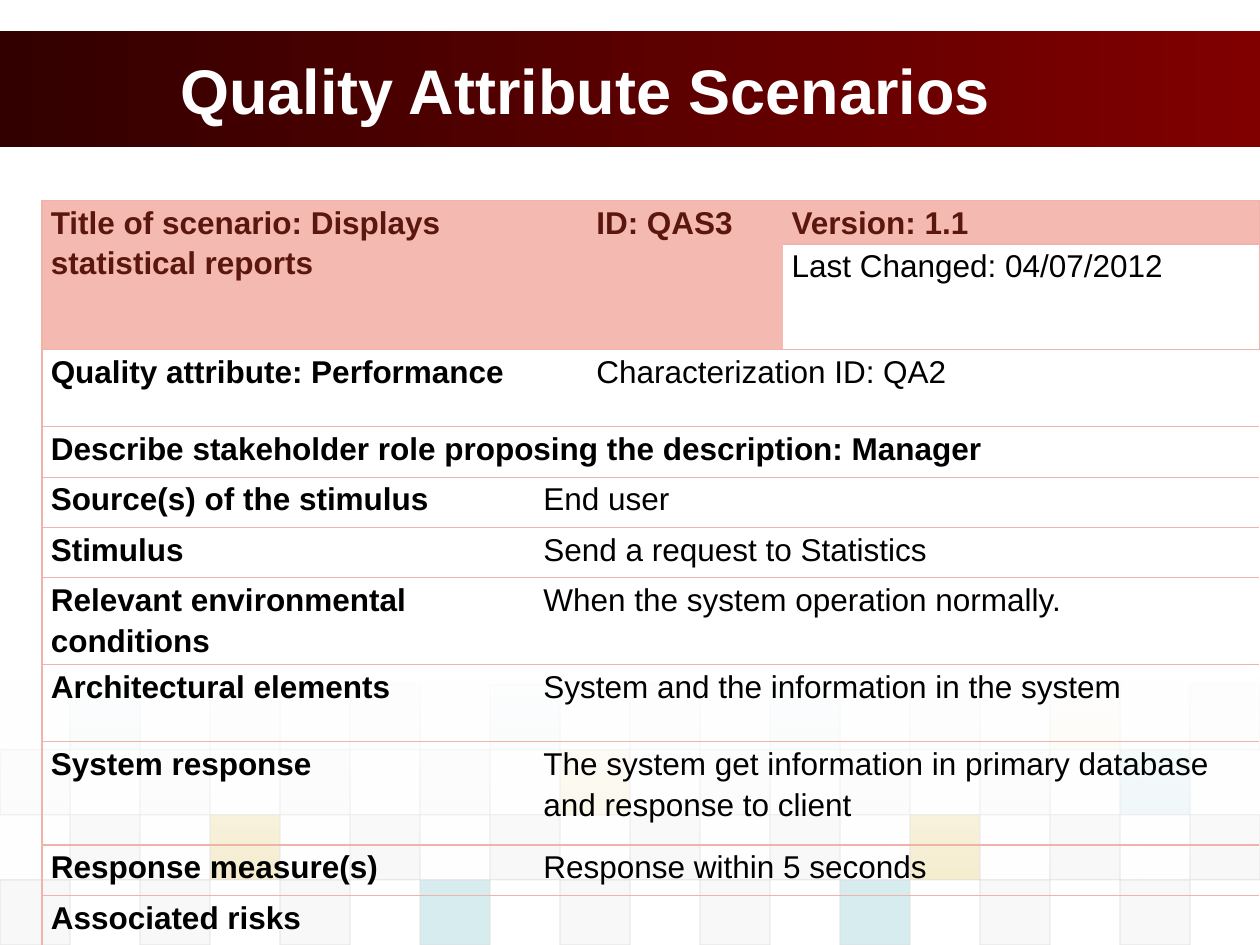
from dataclasses import dataclass

from lxml import etree
from pptx import Presentation
from pptx.dml.color import RGBColor
from pptx.enum.shapes import MSO_SHAPE
from pptx.enum.text import MSO_ANCHOR, PP_ALIGN
from pptx.oxml.ns import qn
from pptx.util import Emu, Inches, Pt

RECTANGLE = MSO_SHAPE.RECTANGLE
MIDDLE = MSO_ANCHOR.MIDDLE
TOP = MSO_ANCHOR.TOP
LEFT = PP_ALIGN.LEFT


@dataclass(frozen=True)
class Theme:
    font: str = "Arial"
    title_size: int = 36
    body_size: int = 18
    line_width: float = 0.75
    line_spacing: float = 1.15
    white: str = "FFFFFF"
    ink: str = "000000"
    banner_start: str = "330000"
    banner_end: str = "800000"
    header_ink: str = "5B170E"
    header_fill: str = "F4B9B1"
    rule: str = "EFB3AA"
    gray: str = "DDDDDD"
    pale: str = "EAEAEA"
    gold: str = "D3A911"
    teal: str = "38A3B2"


@dataclass(frozen=True)
class Frame:
    """A box measured in grid units of a twelfth of an inch."""
    left: float
    top: float
    width: float
    height: float

    def emu(self) -> list[Emu]:
        return [Inches(n / 12) for n in (self.left, self.top, self.width, self.height)]


@dataclass(frozen=True)
class MosaicRow:
    tints: str
    first_column: int
    opacity: int


@dataclass(frozen=True)
class Entry:
    row: int
    column: int
    text: str
    bold: bool = False
    row_span: int = 1
    column_span: int = 1
    header: bool = False


THEME = Theme()
SLIDE = Frame(0, 0, 120, 90)
BANNER = Frame(0, 3, 120, 11)
TITLE = Frame(16, 3, 97, 11)
FADE = Frame(0, 64.4, 120, 19.4)
SCENARIO = Frame(4, 19.1, 116, 70.5)
TILE_WIDTH = 120 / 18
TILE_HEIGHT = 6.2
MOSAIC_TOP = 65.2
TINTS = {"G": THEME.gray, "P": THEME.pale, "Y": THEME.gold, "T": THEME.teal}
MOSAIC = [
    MosaicRow("TPPTGTPYP", 1, 5),
    MosaicRow("GGGGYGGGT", 0, 10),
    MosaicRow("GYGGGGYGG", 1, 20),
    MosaicRow("GGGTGGTGG", 0, 20),
]
COLUMN_WIDTHS = [3.91, 0.42, 1.55, 3.78]
ROW_HEIGHTS = [0.33, 0.84, 0.61, 0.4, 0.4, 0.4, 0.66, 0.61, 0.82, 0.4, 0.4]
DETAILS = [
    ("Source(s) of the stimulus", "End user"),
    ("Stimulus", "Send a request to Statistics"),
    ("Relevant environmental conditions", "When the system operation normally."),
    ("Architectural elements", "System and the information in the system"),
    ("System response",
     "The system get information in primary database and response to client"),
    ("Response measure(s)", "Response within 5 seconds"),
    ("Associated risks", ""),
]
FIRST_DETAIL = 4
ENTRIES = [
    Entry(0, 0, "Title of scenario: Displays statistical reports", True, 2, 2, True),
    Entry(0, 2, "ID: QAS3", True, 2, 1, True),
    Entry(0, 3, "Version: 1.1", True, header=True),
    Entry(1, 3, "Last Changed: 04/07/2012"),
    Entry(2, 0, "Quality attribute: Performance", True, 1, 2),
    Entry(2, 2, "Characterization ID: QA2", False, 1, 2),
    Entry(3, 0, "Describe stakeholder role proposing the description: Manager", True, 1, 4),
]
for detail_row, (label, answer) in enumerate(DETAILS, FIRST_DETAIL):
    ENTRIES += [Entry(detail_row, 0, label, True), Entry(detail_row, 1, answer, False, 1, 3)]
NO_STYLE = "{2D5ABB26-0587-4C30-8999-92F81FD0307C}"


def rgb(code: str) -> RGBColor:
    return RGBColor.from_string(code)


def set_opacity(color_parent, percents: list[int]) -> None:
    for color, percent in zip(color_parent.iter(qn("a:srgbClr")), percents):
        etree.SubElement(color, qn("a:alpha")).set("val", str(percent * 1000))


def add_box(slide, frame: Frame):
    box = slide.shapes.add_shape(RECTANGLE, *frame.emu())
    box.shadow.inherit = False
    return box


def add_gradient(slide, frame: Frame, colors: list[str], angle: int):
    box = add_box(slide, frame)
    box.line.fill.background()
    box.fill.gradient()
    box.fill.gradient_angle = angle
    for stop, color, position in zip(box.fill.gradient_stops, colors, (0, 1)):
        stop.color.rgb = rgb(color)
        stop.position = position
    return box


def add_mosaic(slide) -> None:
    for level, band in enumerate(MOSAIC):
        for order, tint in enumerate(band.tints):
            column = band.first_column + 2 * order
            tile = add_box(slide, Frame(column * TILE_WIDTH, MOSAIC_TOP + level * TILE_HEIGHT,
                                        TILE_WIDTH, TILE_HEIGHT))
            tile.fill.solid()
            tile.fill.fore_color.rgb = rgb(TINTS[tint])
            tile.line.color.rgb = rgb(THEME.gray)
            tile.line.width = Pt(THEME.line_width)
            set_opacity(tile.element.spPr, [band.opacity, 60])


def format_text(paragraph, size: int, color: str, bold: bool) -> None:
    paragraph.alignment = LEFT
    for font in [paragraph.font, *(run.font for run in paragraph.runs)]:
        font.name = THEME.font
        font.size = Pt(size)
        font.bold = bold
        font.color.rgb = rgb(color)


def add_title(slide, text: str) -> None:
    frame = slide.shapes.add_textbox(*TITLE.emu()).text_frame
    frame.word_wrap = True
    frame.vertical_anchor = MIDDLE
    frame.text = text
    format_text(frame.paragraphs[0], THEME.title_size, THEME.white, True)


def rule_cell(cell, sides: str) -> None:
    properties = cell._tc.get_or_add_tcPr()
    for position, side in enumerate(sides):
        line = etree.Element(qn(f"a:ln{side}"), w=str(Pt(THEME.line_width)))
        fill = etree.SubElement(line, qn("a:solidFill"))
        etree.SubElement(fill, qn("a:srgbClr")).set("val", THEME.rule)
        properties.insert(position, line)


def add_scenario(slide) -> None:
    table = slide.shapes.add_table(len(ROW_HEIGHTS), len(COLUMN_WIDTHS), *SCENARIO.emu()).table
    table.first_row = table.horz_banding = False
    table._tbl.tblPr.find(qn("a:tableStyleId")).text = NO_STYLE
    for column, width in zip(table.columns, COLUMN_WIDTHS):
        column.width = Inches(width)
    for row, height in zip(table.rows, ROW_HEIGHTS):
        row.height = Inches(height)
        for index, cell in enumerate(row.cells):
            cell.margin_left = cell.margin_right = Inches(0.07)
            cell.margin_top = cell.margin_bottom = 0
            cell.vertical_anchor = TOP
            cell.fill.background()
            rule_cell(cell, {0: "LTB", len(COLUMN_WIDTHS) - 1: "RTB"}.get(index, "TB"))
    for entry in ENTRIES:
        cell = table.cell(entry.row, entry.column)
        if entry.row_span * entry.column_span > 1:
            cell.merge(table.cell(entry.row + entry.row_span - 1,
                                  entry.column + entry.column_span - 1))
        if entry.header:
            cell.fill.solid()
            cell.fill.fore_color.rgb = rgb(THEME.header_fill)
        cell.text_frame.text = entry.text
        paragraph = cell.text_frame.paragraphs[0]
        paragraph.line_spacing = THEME.line_spacing
        format_text(paragraph, THEME.body_size,
                    THEME.header_ink if entry.header else THEME.ink, entry.bold)


def main() -> None:
    deck = Presentation()
    deck.slide_width, deck.slide_height = SLIDE.emu()[2:]
    slide = deck.slides.add_slide(deck.slide_layouts[6])
    add_gradient(slide, BANNER, [THEME.banner_start, THEME.banner_end], 0)
    add_mosaic(slide)
    fade = add_gradient(slide, FADE, [THEME.white, THEME.white], 270)
    set_opacity(fade.element.spPr, [90, 0])
    add_title(slide, "Quality Attribute Scenarios")
    add_scenario(slide)
    deck.save("out.pptx")


if __name__ == "__main__":
    main()
